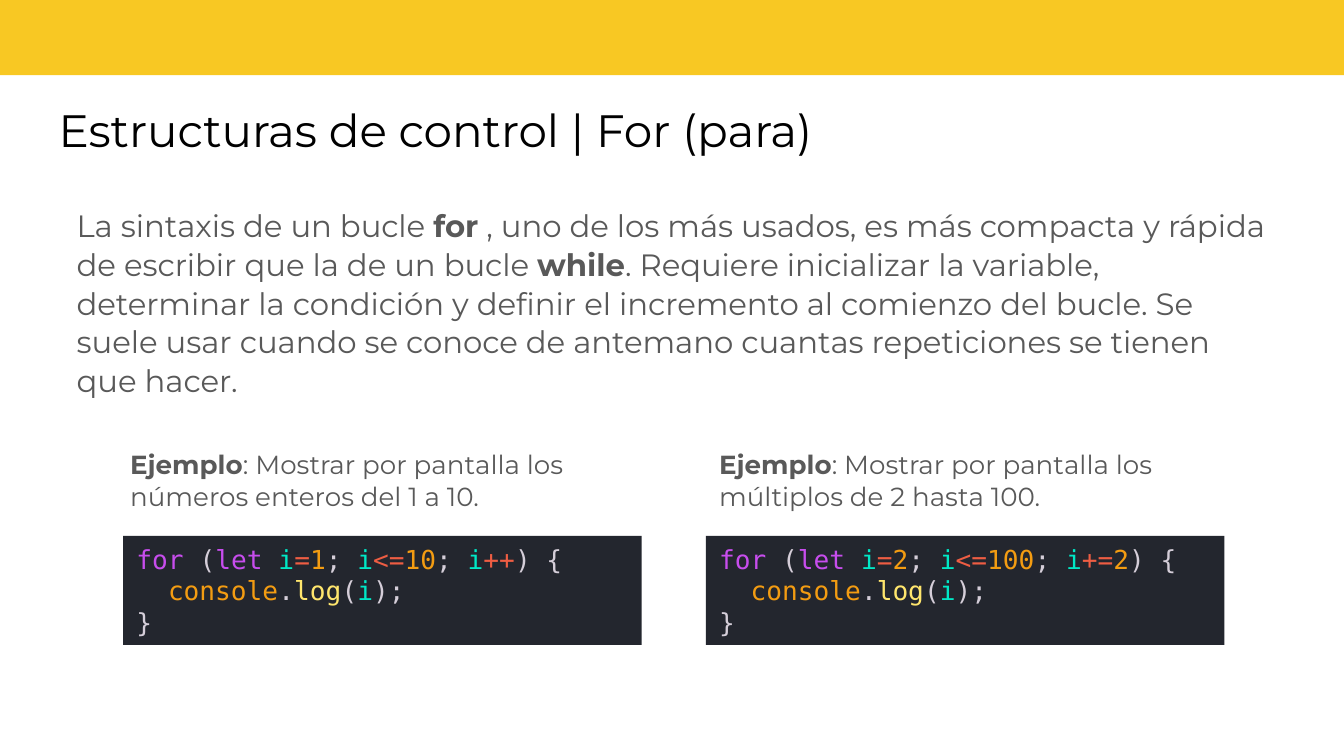
from pptx import Presentation
from pptx.dml.color import RGBColor
from pptx.enum.shapes import MSO_SHAPE
from pptx.enum.text import MSO_ANCHOR, PP_ALIGN
from pptx.util import Cm, Pt

RECTANGLE = MSO_SHAPE.RECTANGLE
TOP, MIDDLE = MSO_ANCHOR.TOP, MSO_ANCHOR.MIDDLE
LEFT = PP_ALIGN.LEFT

COLORS = {
    "banner": "F8C823",
    "title": "000000",
    "body": "595959",
    "panel": "23262E",
    "keyword": "C74DED",
    "plain": "D5CED9",
    "variable": "00E8C6",
    "operator": "EE5D43",
    "literal": "F39C12",
    "method": "FFE66D",
}
TEXT_FONT = "Montserrat"
CODE_FONT = "DejaVu Sans Mono"


def color(name):
    return RGBColor.from_string(COLORS[name])


def write(shape, lines, font, size, inset=0.25, anchor=TOP, spacing=1.0):
    frame = shape.text_frame
    settings = {
        "word_wrap": True,
        "vertical_anchor": anchor,
        "margin_left": Cm(0.25),
        "margin_right": Cm(0.25),
        "margin_top": Cm(inset),
        "margin_bottom": Cm(inset),
    }
    for name, value in settings.items():
        setattr(frame, name, value)
    for index, spans in enumerate(lines):
        para = frame.add_paragraph() if index else frame.paragraphs[0]
        para.alignment = LEFT
        para.line_spacing = spacing
        for text, tone, bold in spans:
            span = para.add_run()
            span.text = text
            formats = {"name": font, "size": Pt(size), "bold": bold}
            for name, value in formats.items():
                setattr(span.font, name, value)
            span.font.color.rgb = color(tone)


def add_panel(page, box, fill):
    panel = page.shapes.add_shape(RECTANGLE, *map(Cm, box))
    panel.shadow.inherit = False
    panel.fill.solid()
    panel.fill.fore_color.rgb = color(fill)
    panel.line.fill.background()
    return panel


def add_text(page, box, spans, size, **options):
    shape = page.shapes.add_textbox(*map(Cm, box))
    write(shape, [spans], TEXT_FONT, size, **options)


def add_title(page, box, text):
    add_text(page, box, [(text, "title", False)], 24.3, anchor=MIDDLE)


def add_explanation(page, box, parts):
    spans = [(text, "body", index % 2 == 1) for index, text in enumerate(parts)]
    add_text(page, box, spans, 16.5, spacing=1.05)


def loop_code(start, limit, step):
    header = [
        ("for", "keyword"), (" (", "plain"), ("let ", "keyword"),
        ("i", "variable"), ("=", "operator"), (start, "literal"), ("; ", "plain"),
        ("i", "variable"), ("<=", "operator"), (limit, "literal"), ("; ", "plain"),
        ("i", "variable"), *step, (") {", "plain"),
    ]
    body = [
        ("  ", "plain"), ("console", "literal"), (".", "plain"), ("log", "method"),
        ("(", "plain"), ("i", "variable"), (");", "plain"),
    ]
    return [header, body, [("}", "plain")]]


def add_example(page, box, caption_left, caption, code):
    left, top, width, height = box
    code_height = 2.06
    panel = add_panel(page, (left, top + height - code_height, width, code_height), "panel")
    lines = [[(text, tone, False) for text, tone in line] for line in code]
    write(panel, lines, CODE_FONT, 14, inset=0.13, anchor=MIDDLE)
    spans = [("Ejemplo", "body", True), (f": {caption}", "body", False)]
    add_text(page, (caption_left, top, width, 1.7), spans, 14)


def main():
    deck = Presentation()
    deck.slide_width, deck.slide_height = Cm(25.4), Cm(14.29)
    page = deck.slides.add_slide(deck.slide_layouts[6])

    add_panel(page, (-0.03, -0.13, 25.48, 1.55), "banner")
    add_title(page, (0.86, 1.65, 23.62, 1.6), "Estructuras de control | For (para)")
    add_explanation(page, (1.2, 3.63, 23.02, 9.22), [
        "La sintaxis de un bucle ",
        "for",
        " , uno de los más usados, es más compacta y rápida de escribir"
        " que la de un bucle ",
        "while",
        ". Requiere inicializar la variable, determinar la condición y definir"
        " el incremento al comienzo del bucle. Se suele usar cuando se conoce"
        " de antemano cuantas repeticiones se tienen que hacer.",
    ])

    examples = [
        (2.33, 2.21, "Mostrar por pantalla los números enteros del 1 a 10.",
         loop_code("1", "10", [("++", "operator")])),
        (13.34, 13.34, "Mostrar por pantalla los múltiplos de 2 hasta 100.",
         loop_code("2", "100", [("+=", "operator"), ("2", "literal")])),
    ]
    for left, caption_left, caption, code in examples:
        add_example(page, (left, 8.23, 9.8, 3.96), caption_left, caption, code)

    deck.save("out.pptx")


if __name__ == "__main__":
    main()
